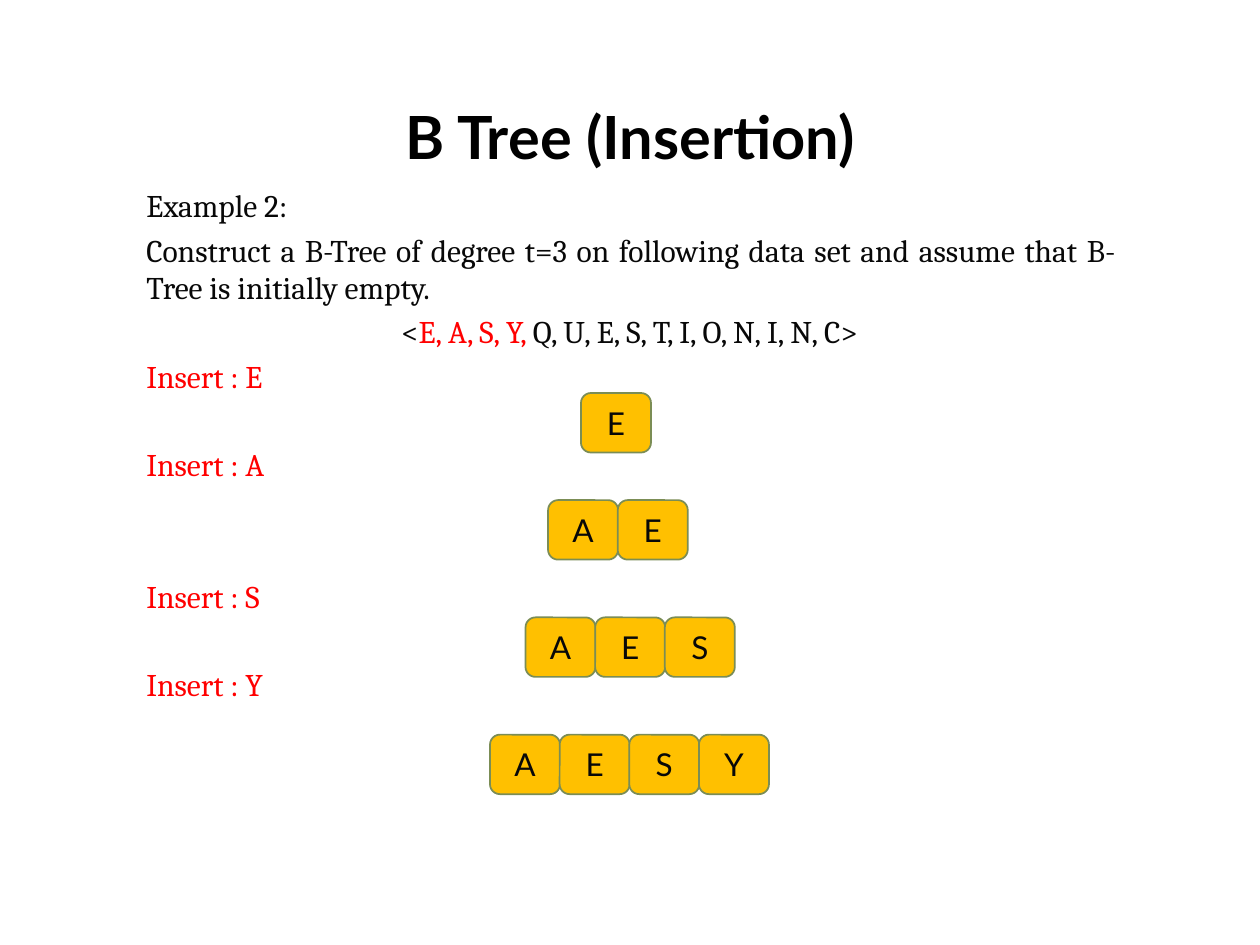
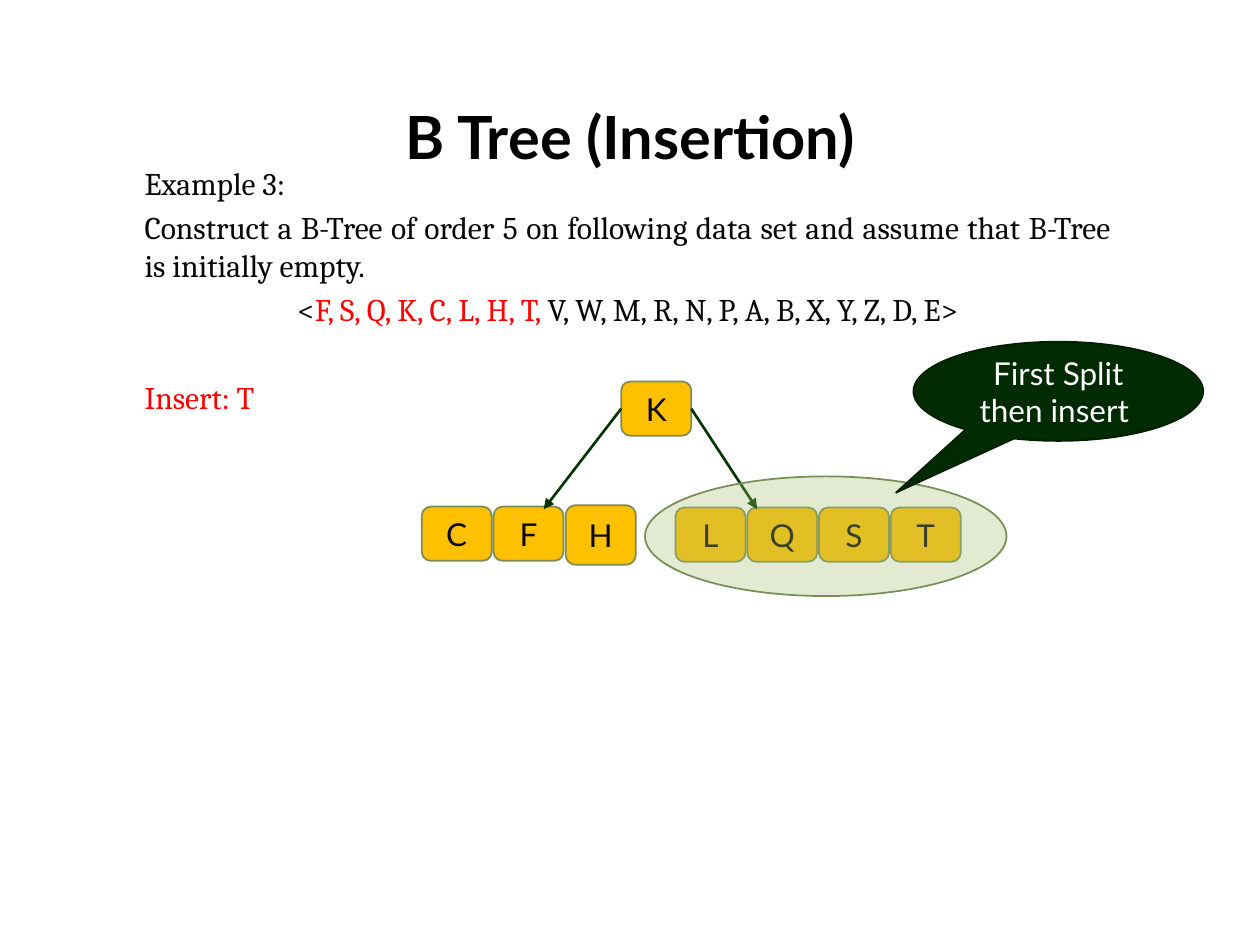
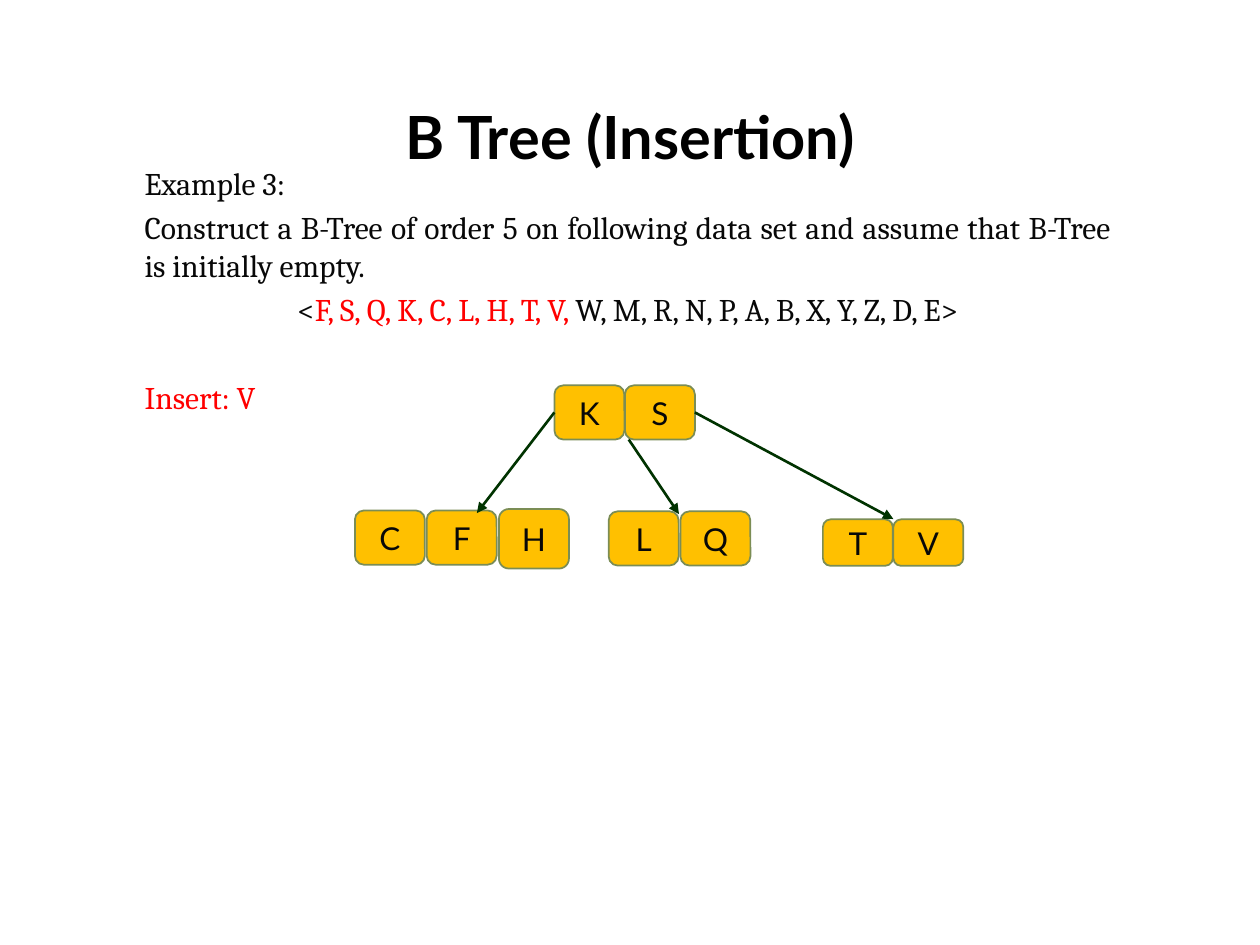
"""Build three slides on inserting keys into a B-tree."""
from lxml.etree import SubElement
from pptx import Presentation
from pptx.dml.color import RGBColor
from pptx.enum.shapes import MSO_CONNECTOR, MSO_SHAPE
from pptx.enum.text import MSO_ANCHOR, PP_ALIGN
from pptx.oxml.ns import qn
from pptx.util import Pt

INK, RED, WHITE = "080808", "FF0000", "FFFFFF"
AMBER, OLIVE, SAGE = "FFC000", "7B8D55", "A6BF73"
ARROW, DARK, DARK_EDGE = "003300", "002A00", "001F00"
HEAD, BODY = "Lato", "Cambria"
LEFT, CENTER, JUSTIFY = PP_ALIGN.LEFT, PP_ALIGN.CENTER, PP_ALIGN.JUSTIFY
SPACE, BLANK = 3.6, 25.2


def rgb(code):
    """Return the colour for a hex string."""
    return RGBColor.from_string(code)


def add_run(p, text, font=HEAD, size=18, color=INK, bold=False):
    """Append formatted text to a paragraph."""
    r = p.add_run()
    r.text = text
    r.font.name, r.font.size, r.font.bold = font, Pt(size), bold
    r.font.color.rgb = rgb(color)


class Deck:
    """Hold the presentation, its style and the current slide."""

    def __init__(self):
        """Start an empty 10 by 7.5 inch presentation."""
        self.prs = Presentation()
        self.prs.slide_width, self.prs.slide_height = Pt(720), Pt(540)

    def slide(self):
        """Add a slide with the shared title."""
        self.s = self.prs.slides.add_slide(self.prs.slide_layouts[6])
        tf = self.textbox(36, 49, 648, 57)
        tf.vertical_anchor = MSO_ANCHOR.MIDDLE
        p = tf.paragraphs[0]
        p.alignment = CENTER
        add_run(p, "B Tree (Insertion)", size=34, color="000000", bold=True)

    def textbox(self, x, y, w, h):
        """Add a wrapping text box and return its frame."""
        tf = self.s.shapes.add_textbox(Pt(x), Pt(y), Pt(w), Pt(h)).text_frame
        tf.word_wrap = True
        return tf

    def body(self, x, y, example, task, done, rest, inserts):
        """Add the exercise; inserts pairs each key with the blank lines above it."""
        tf = self.textbox(x, y, 566.5, 365)
        rows = [(JUSTIFY, 0, [(example, INK)]),
                (JUSTIFY, 0, [(task, INK)]),
                (CENTER, 0, [("<", INK), (done, RED), (rest + ">", INK)])]
        rows += [(LEFT, gap, [(text, RED)]) for text, gap in inserts]
        for i, (align, gap, runs) in enumerate(rows):
            p = tf.add_paragraph() if i else tf.paragraphs[0]
            p.alignment = align
            p.space_before = Pt(SPACE + gap * BLANK if i else 0)
            for text, color in runs:
                add_run(p, text, font=BODY, color=color)

    def shape(self, kind, x, y, w, h, fill, line, text="", color=INK):
        """Add a filled, outlined shape with centred text."""
        sp = self.s.shapes.add_shape(kind, Pt(x), Pt(y), Pt(w), Pt(h))
        sp.shadow.inherit = False
        sp.fill.solid()
        sp.fill.fore_color.rgb = rgb(fill)
        sp.line.color.rgb, sp.line.width = rgb(line), Pt(1)
        if text:
            tf = sp.text_frame
            tf.word_wrap, tf.vertical_anchor = True, MSO_ANCHOR.MIDDLE
            p = tf.paragraphs[0]
            p.alignment = CENTER
            add_run(p, text, color=color)
        return sp

    def node(self, keys, x, y, h=31, pitch=41):
        """Add a row of key cells and return them."""
        return [self.shape(MSO_SHAPE.ROUNDED_RECTANGLE, x + i * pitch, y, 40, h,
                           AMBER, OLIVE, key) for i, key in enumerate(keys)]

    def arrow(self, x1, y1, x2, y2, cell=None, side=None):
        """Add an arrow, joined to a side of a cell if one is given."""
        c = self.s.shapes.add_connector(MSO_CONNECTOR.STRAIGHT,
                                        Pt(x1), Pt(y1), Pt(x2), Pt(y2))
        if cell is not None:
            c.begin_connect(cell, side)
        c.line.color.rgb, c.line.width = rgb(ARROW), Pt(1.5)
        SubElement(c.line._get_or_add_ln(), qn("a:tailEnd"), type="triangle")
        SubElement(c._element.spPr, qn("a:effectLst"))

    def tree(self, x, y, root, child):
        """Add the root, its left child CFH and the next child; return the root cells."""
        cells = self.node(root, x, y, pitch=40.3)
        self.node("CF", x - 114, y + 71.5)
        self.node("H", x - 31.7, y + 70.7, h=34)
        self.node(child, x + 31, y + 72)
        self.arrow(x, y + 15.5, x - 44.3, y + 73, cells[0], 1)
        return cells

    def highlight(self, x, y, w, h):
        """Add a see-through ellipse."""
        sp = self.shape(MSO_SHAPE.OVAL, x, y, w, h, SAGE, OLIVE)
        clr = sp._element.spPr.find(qn("a:solidFill")).find(qn("a:srgbClr"))
        SubElement(clr, qn("a:alpha"), val="32000")

    def callout(self, x, y, w, h, text, tip):
        """Add a speech balloon with its tip at the given offset."""
        sp = self.shape(MSO_SHAPE.OVAL_CALLOUT, x, y, w, h, DARK, DARK_EDGE, text, WHITE)
        sp.adjustments[0], sp.adjustments[1] = tip


def task(kind):
    """Return the exercise sentence for a kind of tree."""
    return (f"Construct a B-Tree of {kind} on following data set "
            "and assume that B-Tree is initially empty.")


def main():
    """Build and save the slides."""
    deck = Deck()

    deck.slide()
    deck.body(76.5, 103, "Example 2:", task("degree t=3"), "E, A, S, Y, ",
              "Q, U, E, S, T, I, O, N, I, N, C",
              [("Insert : E", 0), ("Insert : A", 1), ("Insert : S", 2), ("Insert : Y", 1)])
    for keys, x, y in [("E", 332, 224.6), ("AE", 313.2, 285.8),
                       ("AES", 300.3, 352.8), ("AESY", 280, 419.8)]:
        deck.node(keys, x, y, h=34, pitch=39.8)

    keys = "F, S, Q, K, C, L, H, T, V, W, M, R, N, P, A, B, X, Y, Z, D, E"
    for key in "TV":
        deck.slide()
        cut = keys.index(key) + len(key + ", ")
        deck.body(75.5, 90, "Example 3:", task("order 5"), keys[:cut], keys[cut:],
                  [(f"Insert: {key}", 1)])
        if key == "T":
            root = deck.tree(355, 218, "K", "LQST")
            deck.arrow(395, 233.5, 432.7, 291, root[0], 3)
            deck.highlight(368.6, 272.2, 206.6, 68.4)
            deck.callout(522, 195.3, 165.6, 56.7, "First Split then insert ", (-0.56, 1.02))
        else:
            root = deck.tree(316.8, 220.2, "KS", "LQ")
            deck.node("TV", 470.2, 296.8, h=26.6, pitch=40.3)
            deck.arrow(359.3, 251.2, 388, 293.8)
            deck.arrow(397, 235.7, 510.5, 296.6, root[1], 3)

    deck.prs.save("out.pptx")


if __name__ == "__main__":
    main()
